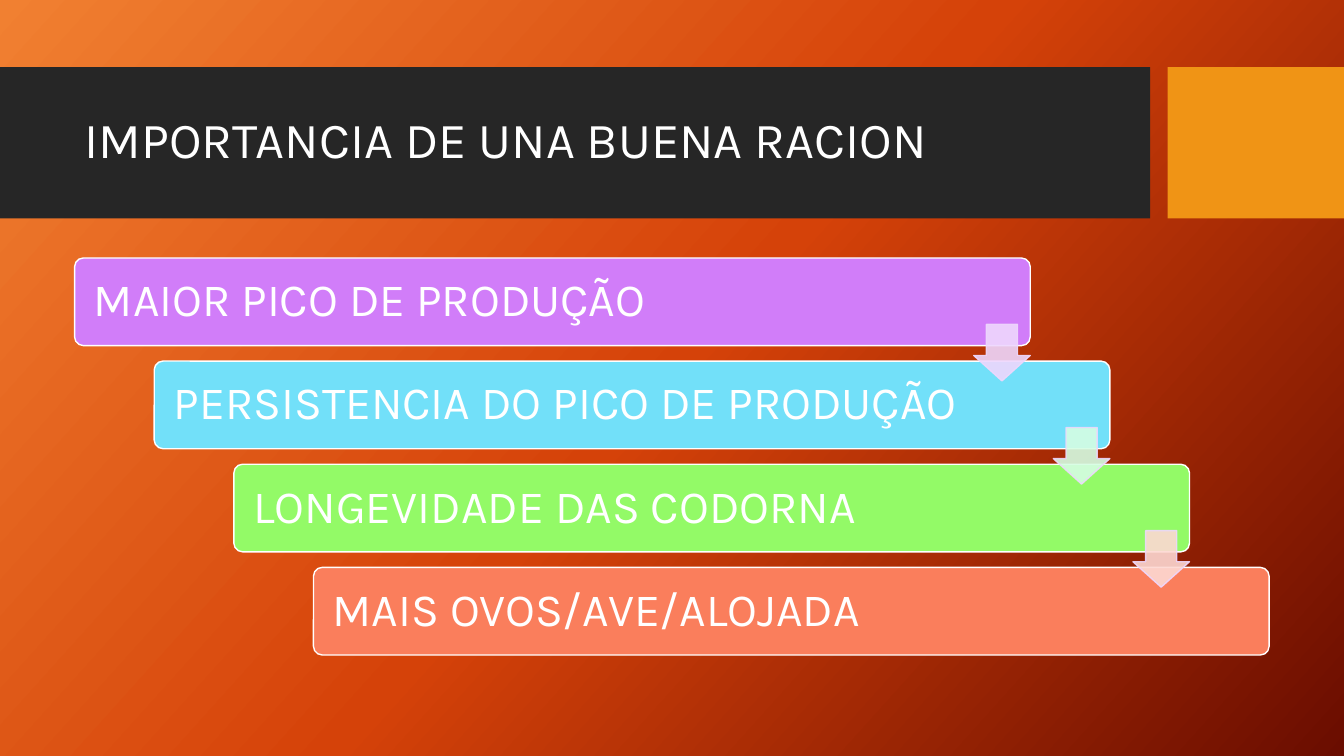
from copy import deepcopy
from dataclasses import dataclass

from lxml.etree import SubElement
from pptx import Presentation
from pptx.dml.color import RGBColor as RGB
from pptx.enum.shapes import MSO_SHAPE as Preset
from pptx.enum.text import MSO_ANCHOR as Anchor, MSO_AUTO_SIZE as AutoSize, PP_ALIGN as Align
from pptx.oxml.ns import qn
from pptx.util import Pt


@dataclass(frozen=True)
class Theme:
    """Colours, font and type sizes of the slide."""
    font: str = "Karla"
    title_size: float = 36
    step_size: float = 33
    white: str = "FFFFFF"
    band: str = "262626"
    accent: str = "F09415"
    arrow_line: str = "EED7FD"
    backdrop: tuple = ((0, "F18031"), (0.5, "D54209"), (1, "6A0D00"))
    steps: tuple = ("D17DF9", "72E0F9", "93FA67", "FA7E5C")
    arrows: tuple = ("EED7FD", "D5FDE3", "FDD8D2")


THEME = Theme()
STEPS = (
    "MAIOR PICO DE PRODUÇÃO",
    "PERSISTENCIA DO PICO DE PRODUÇÃO",
    "LONGEVIDADE DAS CODORNA",
    "MAIS OVOS/AVE/ALOJADA",
)


def paint_backdrop(slide):
    """Fill the background with the three-colour diagonal gradient."""
    fill = slide.background.fill
    fill.gradient()
    fill.gradient_angle = 360 - 42
    stop_list = slide.element.find(f".//{qn('a:gsLst')}")
    stop_list.append(deepcopy(stop_list[-1]))
    for stop, (position, color) in zip(fill.gradient_stops, THEME.backdrop):
        stop.position = position
        stop.color.rgb = RGB.from_string(color)


def add_block(slide, preset, box, color, line=None, adjustments=()):
    """Add a flat preset shape in the given box."""
    block = slide.shapes.add_shape(preset, *map(Pt, box))
    block.shadow.inherit = False
    block.fill.solid()
    block.fill.fore_color.rgb = RGB.from_string(color)
    if line:
        block.line.color.rgb = RGB.from_string(line)
        block.line.width = Pt(1)
    else:
        block.line.fill.background()
    for index, value in enumerate(adjustments):
        block.adjustments[index] = value
    return block


def write_text(holder, words, size, inset):
    """Write one left-aligned, vertically centred line of text."""
    frame = holder.text_frame
    frame.text = words
    frame_format = {
        "word_wrap": True,
        "auto_size": AutoSize.NONE,
        "vertical_anchor": Anchor.MIDDLE,
        "margin_left": Pt(inset),
        "margin_right": Pt(inset),
    }
    for name, value in frame_format.items():
        setattr(frame, name, value)
    line = frame.paragraphs[0]
    line.alignment = Align.LEFT
    line.line_spacing = 0.9
    font = line.runs[0].font
    for name, value in {"name": THEME.font, "size": Pt(size), "bold": False}.items():
        setattr(font, name, value)
    font.color.rgb = RGB.from_string(THEME.white)


def soften(arrow):
    """Make the fill and the line of an arrow 90 % opaque."""
    for color in arrow.element.spPr.iter(qn("a:srgbClr")):
        SubElement(color, qn("a:alpha"), val="90000")


def build_header(slide, box, words):
    """Place the dark title band, the accent block and the title."""
    left, top, width, height = box
    accent_width, gap = 126, 12.4
    band_width = width - accent_width - gap
    add_block(slide, Preset.RECTANGLE, (left, top, band_width, height), THEME.band)
    accent_left = left + band_width + gap
    add_block(slide, Preset.RECTANGLE, (accent_left, top, accent_width, height), THEME.accent)

    heading = slide.shapes.title
    slide.shapes.element.append(heading.element)
    place = {"left": left + 53.3, "top": top + 10.8, "width": 756.7, "height": 85}
    for name, value in place.items():
        setattr(heading, name, Pt(value))
    write_text(heading, words, THEME.title_size, 7.2)


def build_staircase(slide, box, steps):
    """Place the descending bars and the arrows that link them."""
    left, top, width, height = box
    bar_width, bar_height = 682.6, 62.6
    arrow_size, arrow_drop = 40.4, 47.4
    shift = (width - bar_width) / (len(steps) - 1)
    drop = (height - bar_height) / (len(steps) - 1)
    for index, (words, color) in enumerate(zip(steps, THEME.steps)):
        bar_box = (left + index * shift, top + index * drop, bar_width, bar_height)
        bar = add_block(slide, Preset.ROUNDED_RECTANGLE, bar_box, color, THEME.white, (0.1,))
        write_text(bar, words, THEME.step_size, 12)
    for index, color in enumerate(THEME.arrows):
        arrow_left = left + index * shift + bar_width - arrow_size
        arrow_top = top + index * drop + arrow_drop
        arrow_box = (arrow_left, arrow_top, arrow_size, arrow_size)
        arrow = add_block(
            slide, Preset.DOWN_ARROW, arrow_box, color, THEME.arrow_line, (0.45, 0.55)
        )
        arrow.adjustments[0], arrow.adjustments[1] = 0.55, 0.45
        soften(arrow)


def main():
    """Build the slide and save it."""
    deck = Presentation()
    deck.slide_width, deck.slide_height = Pt(960), Pt(540)
    slide = deck.slides.add_slide(deck.slide_layouts[5])
    paint_backdrop(slide)
    build_header(slide, (0, 48, 960, 108), "IMPORTANCIA DE UNA BUENA RACION")
    build_staircase(slide, (53.3, 184.3, 853.2, 283.6), STEPS)
    deck.save("out.pptx")


if __name__ == "__main__":
    main()
